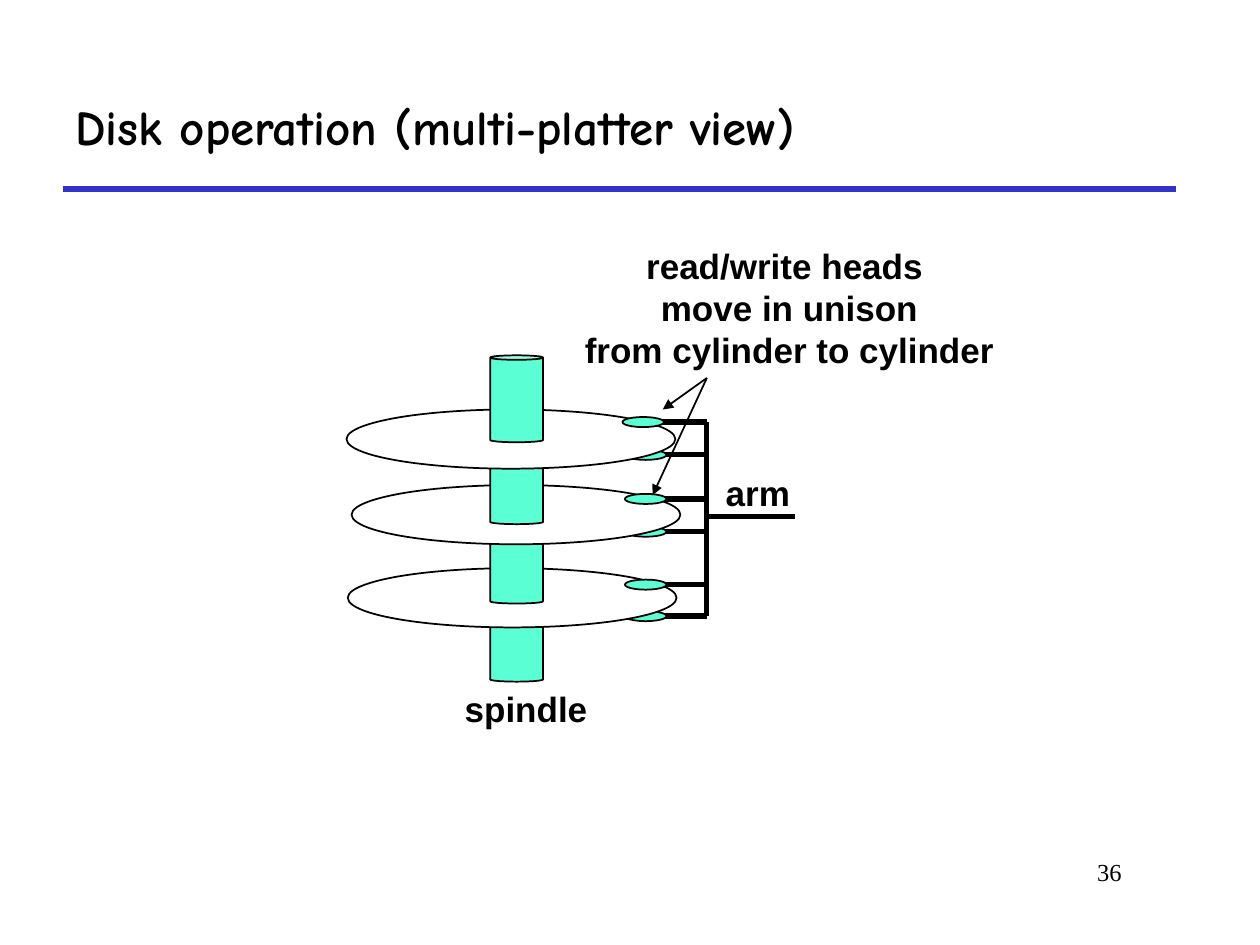
from typing import NamedTuple

from pptx import Presentation
from pptx.dml.color import RGBColor
from pptx.enum.shapes import MSO_CONNECTOR, MSO_SHAPE
from pptx.enum.text import MSO_ANCHOR as Anchor, MSO_AUTO_SIZE as AutoSize, PP_ALIGN as Align
from pptx.oxml.ns import qn
from pptx.util import Inches, Pt
from lxml.etree import SubElement

BLACK = "000000"
WHITE = "FFFFFF"
MINT = "5BFFD4"
BLUE = "3333CC"
ARM_X = 5.61
SPINDLE_X = 3.89
HEAD_WIDTH, HEAD_HEIGHT = 0.33, 0.08


class Box(NamedTuple):
    left: float
    top: float
    width: float
    height: float


class Point(NamedTuple):
    x: float
    y: float


class Head(NamedTuple):
    left: float
    y: float


class Disk(NamedTuple):
    platter_left: float
    platter_top: float
    spindle_top: float


class Label(NamedTuple):
    box: Box
    lines: list[str]
    size: int = 20
    font: str = "Arial"
    bold: bool = True
    align: Align = Align.CENTER
    anchor: Anchor = Anchor.MIDDLE
    wrap: bool = False


LOWER_HEADS = [Head(4.96, 3.61), Head(4.96, 4.22), Head(4.96, 4.89)]
UPPER_HEADS = [Head(4.96, 4.64), Head(4.94, 3.35), Head(4.96, 3.96)]
DISKS_FROM_BOTTOM = [
    Disk(2.76, 4.51, 4.72),
    Disk(2.79, 3.85, 4.10),
    Disk(2.75, 3.25, 3.47),
]
SPINDLE_TIP_TOP = 2.82
LABELS = [
    Label(Box(0.5, 0.5, 8.83, 1), ["Disk operation (multi-platter view)"],
          size=28, font="Comic Neue", align=Align.LEFT, wrap=True),
    Label(Box(7.58, 6.75, 1.42, 0.5), ["36"], size=14, font="Times New Roman",
          bold=False, align=Align.RIGHT, anchor=Anchor.TOP, wrap=True),
    Label(Box(5.65, 3.69, 0.73, 0.44), ["arm"]),
    Label(Box(4.54, 1.89, 3.45, 1.1),
          ["read/write heads ", "move in unison", "from cylinder to cylinder"]),
    Label(Box(3.55, 5.4, 1.25, 0.44), ["spindle"]),
]
ARROW_START = Point(ARM_X, 3)
ARROW_TIPS = [Point(5.26, 3.25), Point(5.18, 3.93)]


def color(value: str) -> RGBColor:
    return RGBColor.from_string(value)


def add_line(slide, start: Point, end: Point, width: float = 3,
             line_color: str = BLACK, arrow: bool = False) -> None:
    connector = slide.shapes.add_connector(
        MSO_CONNECTOR.STRAIGHT, *map(Inches, (*start, *end)))
    connector.line.color.rgb = color(line_color)
    connector.line.width = Pt(width)
    if arrow:
        SubElement(connector.line._get_or_add_ln(), qn("a:tailEnd"), type="triangle")
    SubElement(connector._element.spPr, qn("a:effectLst"))


def add_outlined(slide, kind: MSO_SHAPE, box: Box, fill: str):
    shape = slide.shapes.add_shape(kind, *map(Inches, box))
    shape.shadow.inherit = False
    shape.fill.solid()
    shape.fill.fore_color.rgb = color(fill)
    shape.line.color.rgb = color(BLACK)
    shape.line.width = Pt(1)
    return shape


def add_head(slide, head: Head) -> None:
    add_line(slide, Point(ARM_X, head.y), Point(5.11, head.y))
    box = Box(head.left, head.y - HEAD_HEIGHT / 2, HEAD_WIDTH, HEAD_HEIGHT)
    add_outlined(slide, MSO_SHAPE.OVAL, box, MINT)


def add_spindle(slide, top: float) -> None:
    can = add_outlined(slide, MSO_SHAPE.CAN, Box(SPINDLE_X, top, 0.42, 0.69), MINT)
    can.adjustments[0] = 0.085


def add_disk(slide, disk: Disk) -> None:
    add_spindle(slide, disk.spindle_top)
    box = Box(disk.platter_left, disk.platter_top, 2.61, 0.47)
    add_outlined(slide, MSO_SHAPE.OVAL, box, WHITE)


def add_label(slide, label: Label) -> None:
    frame = slide.shapes.add_textbox(*map(Inches, label.box)).text_frame
    frame.word_wrap = label.wrap
    frame.auto_size = AutoSize.NONE if label.wrap else AutoSize.SHAPE_TO_FIT_TEXT
    frame.vertical_anchor = label.anchor
    for index, line in enumerate(label.lines):
        paragraph = frame.add_paragraph() if index else frame.paragraphs[0]
        paragraph.alignment = label.align
        run = paragraph.add_run()
        run.text = line
        run.font.name = label.font
        run.font.size = Pt(label.size)
        run.font.bold = label.bold
        run.font.color.rgb = color(BLACK)


def main() -> None:
    presentation = Presentation()
    presentation.slide_width = Inches(10)
    presentation.slide_height = Inches(7.5)
    slide = presentation.slides.add_slide(presentation.slide_layouts[6])

    add_line(slide, Point(0.5, 1.5), Point(9.33, 1.5), line_color=BLUE)
    for head in LOWER_HEADS:
        add_head(slide, head)
    for disk in DISKS_FROM_BOTTOM:
        add_disk(slide, disk)
    add_spindle(slide, SPINDLE_TIP_TOP)
    for head in UPPER_HEADS:
        add_head(slide, head)
    add_line(slide, Point(ARM_X, 3.35), Point(ARM_X, 4.89))
    add_line(slide, Point(ARM_X, 4.1), Point(6.31, 4.1))
    for label in LABELS:
        add_label(slide, label)
    for tip in ARROW_TIPS:
        add_line(slide, ARROW_START, tip, width=1, arrow=True)

    presentation.save("out.pptx")


if __name__ == "__main__":
    main()
